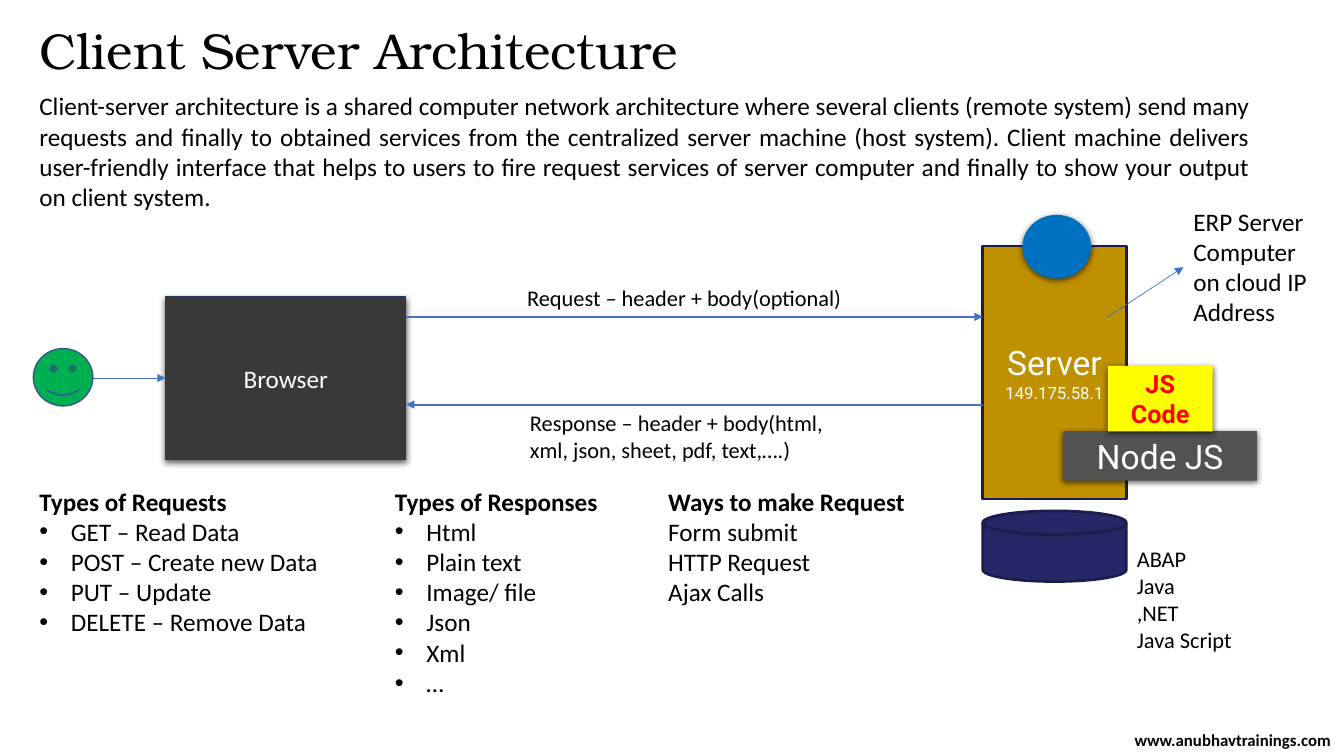
from lxml import etree
from pptx import Presentation
from pptx.dml.color import RGBColor
from pptx.enum import shapes, text
from pptx.oxml import ns
from pptx.util import Pt

BLACK, WHITE, NAVY, BLUE = "000000", "FFFFFF", "1C1D4C", "4472C4"
KIND = shapes.MSO_SHAPE
ALIGN = text.PP_ALIGN


def rgb(value):
    return RGBColor.from_string(value)


def write(box, content, size=18, font="Calibri", color=BLACK, bold=False, align=ALIGN.LEFT,
          anchor=text.MSO_ANCHOR.TOP, heading=False, bullets=False, spacing=None, sizes=None):
    """Fill a box, one paragraph per line; heading makes only the first line bold."""
    frame = box.text_frame
    frame.word_wrap = True
    frame.vertical_anchor = anchor
    for i, line in enumerate(content.split("\n")):
        para = frame.paragraphs[0] if i == 0 else frame.add_paragraph()
        para.alignment = align
        if spacing:
            para.line_spacing = spacing
        if bullets and i > 0:
            props = para._p.get_or_add_pPr()
            props.set("marL", str(Pt(22.5)))
            props.set("indent", str(-Pt(22.5)))
            etree.SubElement(props, ns.qn("a:buFont"), typeface="Arial")
            etree.SubElement(props, ns.qn("a:buChar"), char="•")
        span = para.add_run()
        span.text = line
        span.font.size = Pt(sizes[i] if sizes else size)
        span.font.name = font
        span.font.bold = bold or (heading and i == 0)
        span.font.color.rgb = rgb(color)


deck = Presentation()
deck.slide_width, deck.slide_height = Pt(960), Pt(540)
page = deck.slides.add_slide(deck.slide_layouts[6])

# Text boxes: left, top, width, height, wording, format
description = (
    "Client-server architecture is a shared computer network architecture where several clients "
    "(remote system) send many requests and finally to obtained services from the centralized "
    "server machine (host system). Client machine delivers user-friendly interface that helps to "
    "users to fire request services of server computer and finally to show your output on client "
    "system."
)
requests = ("Types of Requests\nGET – Read Data\nPOST – Create new Data\nPUT – Update\n"
            "DELETE – Remove Data")
responses = "Types of Responses\nHtml\nPlain text\nImage/ file\nJson\nXml\n…"
ways = "Ways to make Request\nForm submit\nHTTP Request\nAjax Calls"
labels = [
    (21, 15, 879, 47, "Client Server Architecture",
     dict(size=36, font="TeX Gyre Bonum", spacing=0.9)),
    (21, 61.2, 879, 94.5, description, dict(align=ALIGN.JUSTIFY)),
    (801.4, 522.7, 158.4, 11.5, "www.anubhavtrainings.com",
     dict(size=12, bold=True, align=ALIGN.CENTER, anchor=text.MSO_ANCHOR.MIDDLE)),
    (369.5, 199.5, 252, 26.5, "Request – header + body(optional)", dict(size=16)),
    (371.5, 288.7, 252, 46, "Response – header + body(html, xml, json, sheet, pdf, text,….)",
     dict(size=16)),
    (845.3, 143.5, 107.3, 94.5, "ERP Server Computer on cloud IP Address", {}),
    (805, 386, 86.4, 85, "ABAP\nJava\n,NET\nJava Script", dict(size=16)),
    (21, 343.5, 223, 116.5, requests, dict(heading=True, bullets=True)),
    (275, 343.5, 195, 160, responses, dict(heading=True, bullets=True)),
    (470.2, 343.5, 215, 94.5, ways, dict(heading=True)),
]
for left, top, width, height, content, style in labels:
    box = page.shapes.add_textbox(Pt(left), Pt(top), Pt(width), Pt(height))
    write(box, content, **style)

# Shapes: kind, left, top, width, height, fill, outline, shadow, wording, format
roboto = dict(font="Roboto", color=WHITE, size=24)
parts = [
    (KIND.RECTANGLE, 118.4, 212, 171.5, 116, "3B3838", ("203864", 0.75), True,
     "Browser", dict(color=WHITE)),
    (KIND.RECTANGLE, 702, 175.7, 102.5, 180.7, "BF9000", (NAVY, 2), False,
     "Server\n149.175.58.1", dict(roboto, sizes=(24, 12))),
    (KIND.OVAL, 730.3, 153.5, 49, 45.5, "0070C0", None, True, "", {}),
    (KIND.FLOWCHART_MAGNETIC_DISK, 702, 365, 102.5, 50.4, "262767", (NAVY, 2), False, "", {}),
    (KIND.RECTANGLE, 759.5, 308, 138.3, 35.3, "525252", None, True, "Node JS", roboto),
    (KIND.RECTANGLE, 791.3, 261.3, 75, 46.8, "FFFF00", None, True,
     "JS Code", dict(font="Roboto", color="FF0000", bold=True)),
    (KIND.SMILEY_FACE, 23.8, 249, 42.5, 41, "00B050", ("325491", 1), False, "", {}),
]
for kind, left, top, width, height, fill, outline, shadow, content, style in parts:
    part = page.shapes.add_shape(kind, Pt(left), Pt(top), Pt(width), Pt(height))
    part.fill.solid()
    part.fill.fore_color.rgb = rgb(fill)
    if outline:
        part.line.color.rgb = rgb(outline[0])
        part.line.width = Pt(outline[1])
    else:
        part.line.fill.background()
    part.shadow.inherit = False
    if shadow:
        effects = part._element.spPr.find(ns.qn("a:effectLst"))
        outer = etree.SubElement(effects, ns.qn("a:outerShdw"), blurRad=str(Pt(4.5)),
                                 dist=str(Pt(1.5)), dir="5400000", rotWithShape="0")
        tint = etree.SubElement(outer, ns.qn("a:srgbClr"), val=BLACK)
        etree.SubElement(tint, ns.qn("a:alpha"), val="63000")
    if content:
        write(part, content, align=ALIGN.CENTER, anchor=text.MSO_ANCHOR.MIDDLE, **style)

# Arrows: start x, start y, end x, end y, line width
arrows = [
    (290, 226.3, 702, 226.3, 1.5),
    (702, 289, 290, 289, 1.5),
    (791.3, 226.3, 845.3, 190.8, 0.5),
    (66.3, 270, 118.4, 270, 0.5),
]
for x1, y1, x2, y2, weight in arrows:
    arrow = page.shapes.add_connector(shapes.MSO_CONNECTOR.STRAIGHT,
                                      Pt(x1), Pt(y1), Pt(x2), Pt(y2))
    arrow.line.color.rgb = rgb(BLUE)
    arrow.line.width = Pt(weight)
    props = arrow._element.spPr
    etree.SubElement(props.find(ns.qn("a:ln")), ns.qn("a:tailEnd"), type="triangle")
    etree.SubElement(props, ns.qn("a:effectLst"))

deck.save("out.pptx")
